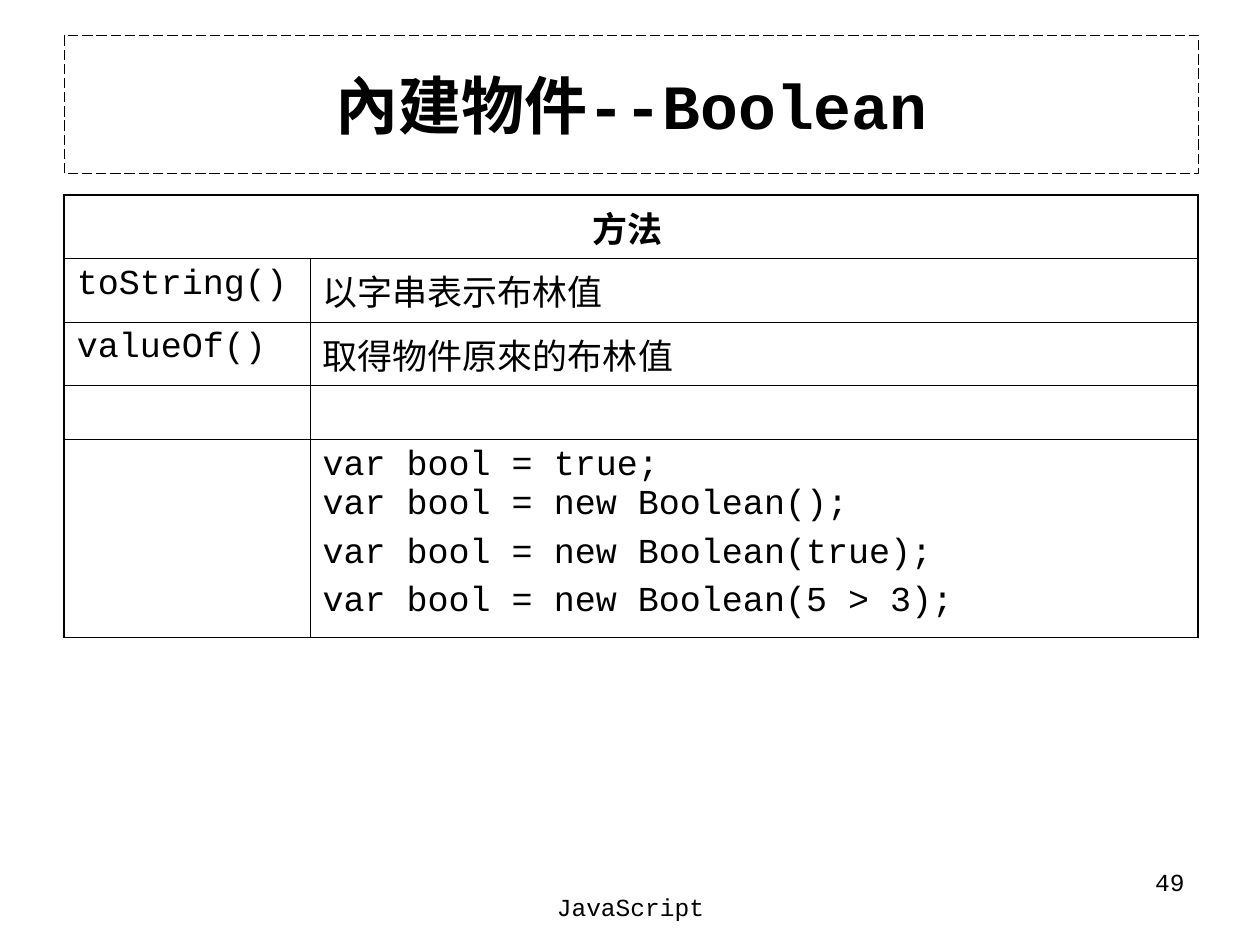
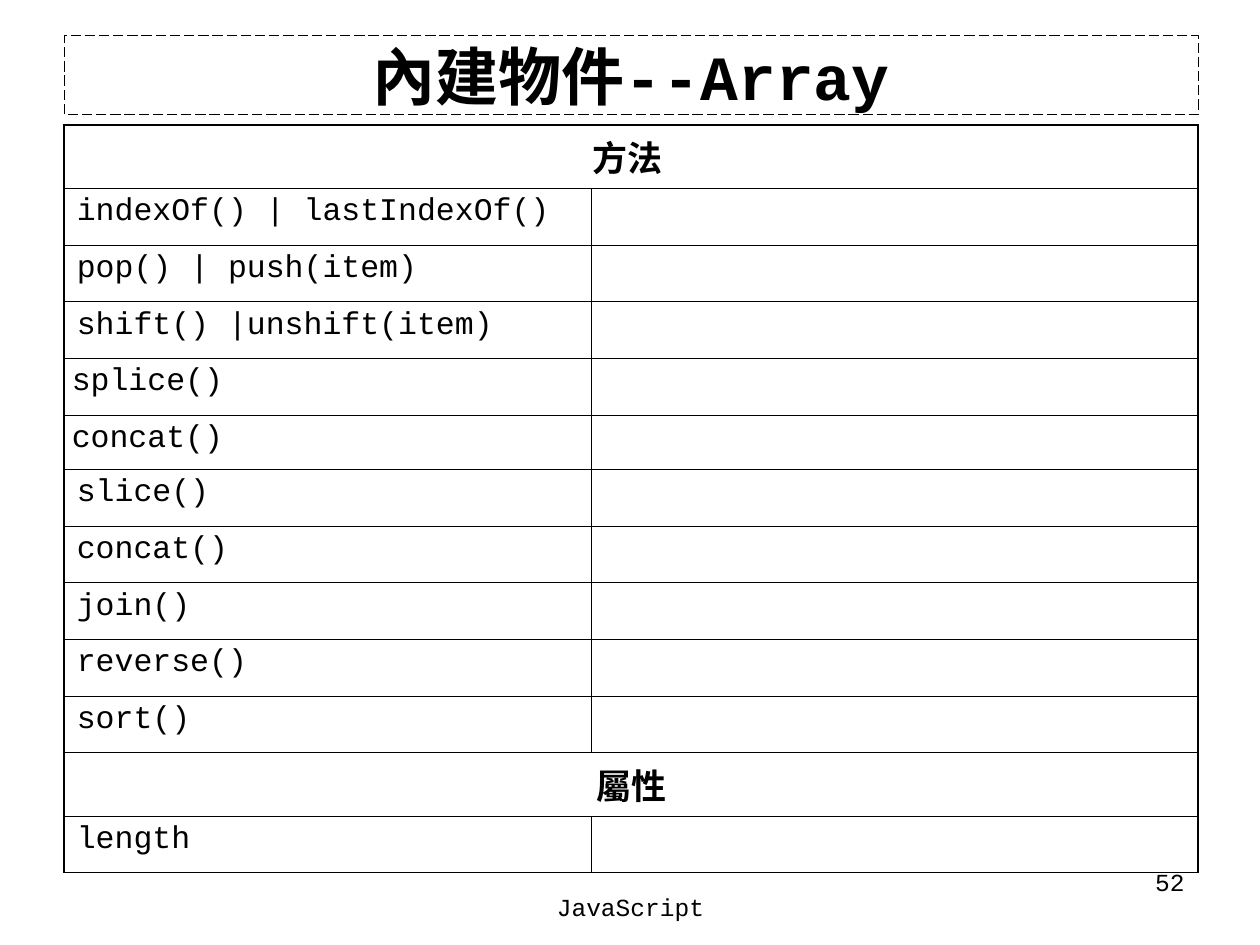
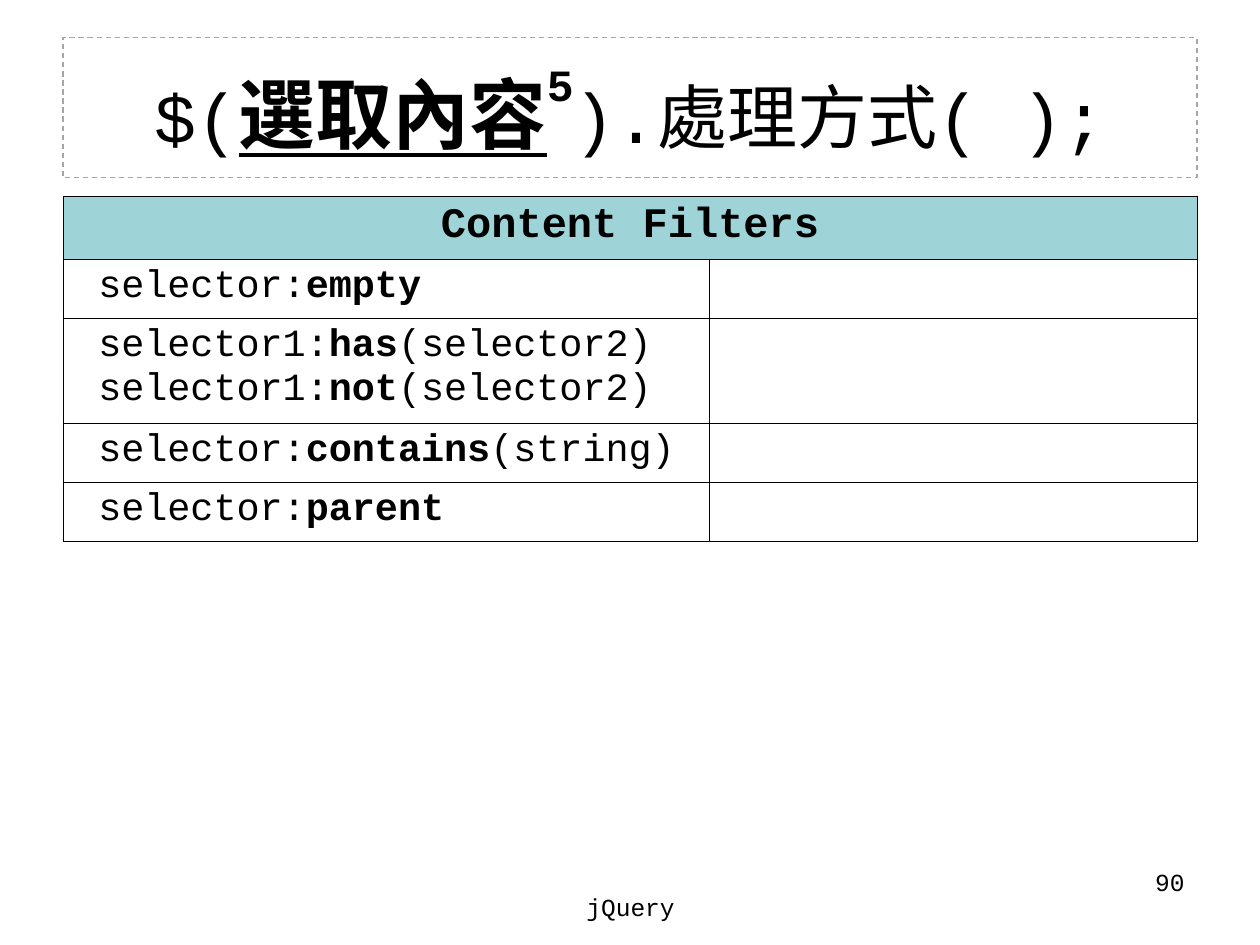
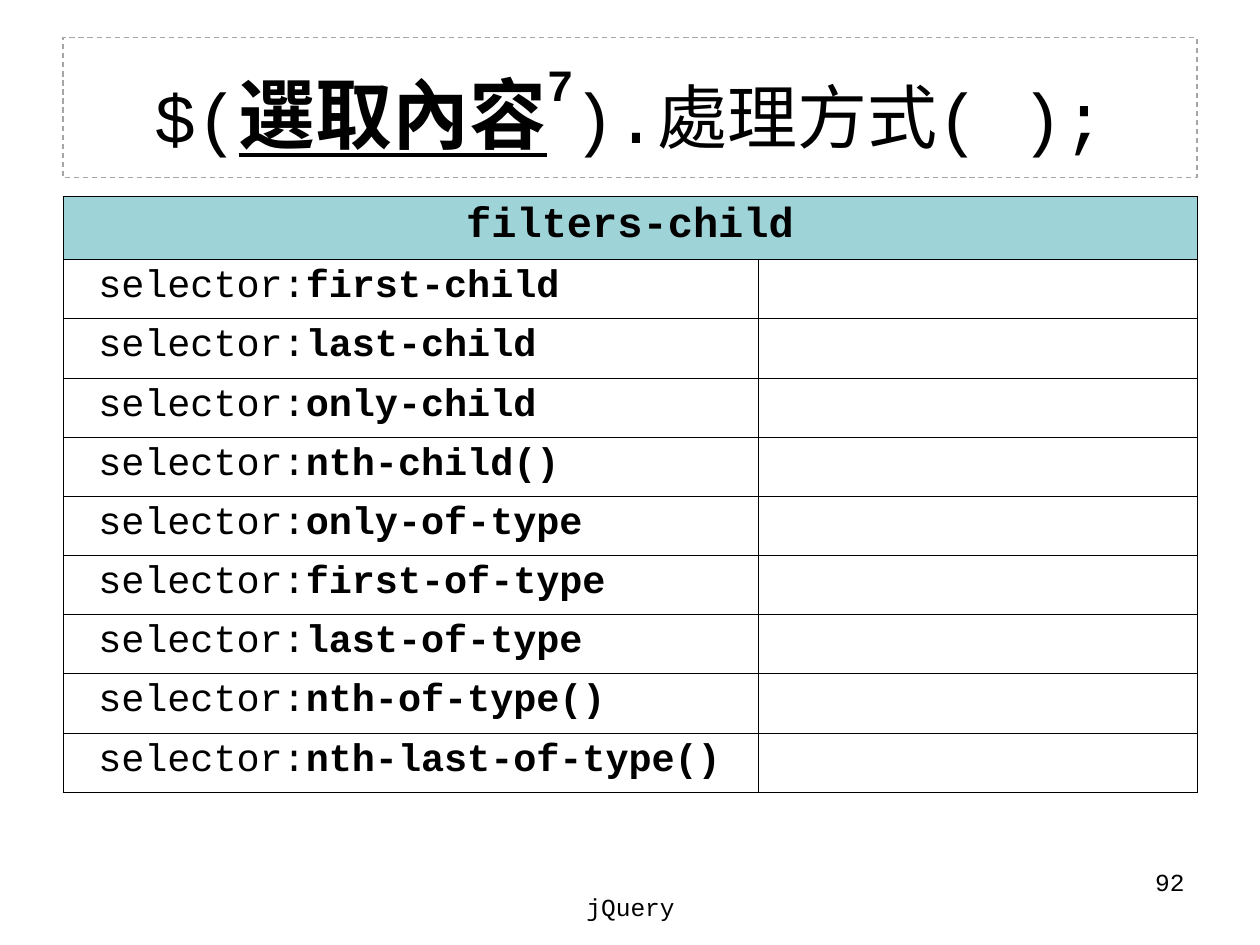
from dataclasses import dataclass

from lxml.etree import SubElement
from pptx import Presentation
from pptx.dml.color import RGBColor
from pptx.enum.dml import MSO_LINE
from pptx.enum.text import MSO_ANCHOR, MSO_AUTO_SIZE, PP_ALIGN
from pptx.oxml.ns import qn
from pptx.util import Inches, Pt

BLACK = RGBColor(0x00, 0x00, 0x00)
GREY = RGBColor(0xA6, 0xA6, 0xA6)
TEAL = RGBColor(0x9E, 0xD3, 0xD7)
FONT = "Courier New"
CONTENT_WIDTH = 9
THIN, THICK = 0.45, 1.08
TITLE_ONLY = 5


@dataclass(frozen=True)
class Piece:
    text: str
    size: float
    bold: bool = False
    underline: bool = False
    baseline: int = 0


@dataclass(frozen=True)
class TitleStyle:
    left: float
    top: float
    height: float
    color: RGBColor
    dash: MSO_LINE


@dataclass(frozen=True)
class TableStyle:
    left: float
    top: float
    heading_size: float
    body_size: float
    outer_border: float
    indent: float = 0.1
    heading_fill: RGBColor | None = None


@dataclass(frozen=True)
class Row:
    label: str = ""
    detail: str = ""
    height: float = 0.45
    heading: bool = False
    inset: float | None = None


@dataclass(frozen=True)
class Page:
    title: list[Piece]
    title_style: TitleStyle
    table_style: TableStyle
    label_width: float
    rows: list[Row]
    topic: str
    number: int


def add_piece(paragraph, piece: Piece) -> None:
    run = paragraph.add_run()
    run.text = piece.text
    font = run.font
    font.name, font.size, font.bold = FONT, Pt(piece.size), piece.bold
    font.color.rgb = BLACK
    if piece.underline:
        font.underline = True
    if piece.baseline:
        run._r.get_or_add_rPr().set("baseline", str(piece.baseline * 1000))


def add_title(slide, pieces: list[Piece], style: TitleStyle) -> None:
    title = slide.shapes.title
    title.left, title.top = Inches(style.left), Inches(style.top)
    title.width, title.height = Inches(CONTENT_WIDTH), Inches(style.height)
    title.line.color.rgb = style.color
    title.line.width = Pt(0.75)
    title.line.dash_style = style.dash
    frame = title.text_frame
    frame.word_wrap = True
    frame.auto_size = MSO_AUTO_SIZE.NONE
    frame.vertical_anchor = MSO_ANCHOR.MIDDLE
    heading = frame.paragraphs[0]
    heading.alignment = PP_ALIGN.CENTER
    for piece in pieces:
        add_piece(heading, piece)


def add_footer(slide, text: str, left: float, top: float, width: float,
               height: float, alignment: PP_ALIGN) -> None:
    frame = slide.shapes.add_textbox(
        Inches(left), Inches(top), Inches(width), Inches(height)).text_frame
    frame.word_wrap = True
    frame.paragraphs[0].alignment = alignment
    add_piece(frame.paragraphs[0], Piece(text, 14))


def set_borders(cell, left: float, right: float, top: float, bottom: float) -> None:
    properties = cell._tc.get_or_add_tcPr()
    for tag, width in (("a:lnL", left), ("a:lnR", right),
                       ("a:lnT", top), ("a:lnB", bottom)):
        line = SubElement(properties, qn(tag), w=str(Pt(width)))
        fill = SubElement(line, qn("a:solidFill"))
        SubElement(fill, qn("a:srgbClr"), val=str(BLACK))


def fill_cell(cell, text: str, size: float, heading: bool) -> None:
    frame = cell.text_frame
    for index, line in enumerate(text.split("\n")):
        paragraph = frame.add_paragraph() if index else frame.paragraphs[0]
        if heading:
            paragraph.alignment = PP_ALIGN.CENTER
        if index and "var" in line:
            paragraph.space_before = Pt(5)
        for part_index, part in enumerate(line.split("*")):
            for break_index, chunk in enumerate(part.split("\v")):
                if break_index:
                    paragraph.add_line_break()
                if chunk:
                    add_piece(paragraph, Piece(chunk, size, heading or part_index % 2 == 1))


def add_grid(slide, page: Page) -> None:
    style = page.table_style
    total_height = sum(row.height for row in page.rows)
    table = slide.shapes.add_table(
        len(page.rows), 2, Inches(style.left), Inches(style.top),
        Inches(CONTENT_WIDTH), Inches(total_height)).table
    table.first_row = table.horz_banding = False
    table.columns[0].width = Inches(page.label_width)
    table.columns[1].width = Inches(CONTENT_WIDTH - page.label_width)
    for row_index, row in enumerate(page.rows):
        table.rows[row_index].height = Inches(row.height)
        label, detail = table.cell(row_index, 0), table.cell(row_index, 1)
        if row.heading:
            label.merge(detail)
        size = style.heading_size if row.heading else style.body_size
        top = THIN if row_index else style.outer_border
        label_right = style.outer_border if row.heading else THIN
        set_borders(label, style.outer_border, label_right, top, THIN)
        set_borders(detail, THIN, style.outer_border, top, THIN)
        for cell in (label, detail):
            if row.heading and style.heading_fill:
                cell.fill.solid()
                cell.fill.fore_color.rgb = style.heading_fill
            else:
                cell.fill.background()
        if not row.heading:
            label.margin_left = Inches(row.inset or style.indent)
            label.margin_right = Inches(row.inset or 0.1)
        fill_cell(label, row.label, size, row.heading)
        if row.detail:
            fill_cell(detail, row.detail, size, False)


def add_page(deck, page: Page) -> None:
    slide = deck.slides.add_slide(deck.slide_layouts[TITLE_ONLY])
    add_title(slide, page.title, page.title_style)
    add_grid(slide, page)
    add_footer(slide, str(page.number), 7.17, 6.83, 2.33, 0.52, PP_ALIGN.RIGHT)
    add_footer(slide, page.topic, 3.42, 7.03, 3.17, 0.5, PP_ALIGN.CENTER)


def object_title(name: str) -> list[Piece]:
    return [Piece(f"內建物件--{name}", 36, bold=True)]


def selector_title(step: int) -> list[Piece]:
    return [
        Piece("$(", 40),
        Piece("選取內容", 44, bold=True, underline=True),
        Piece(str(step), 44, bold=True, baseline=54),
        Piece(").處理方式( );", 40),
    ]


def selector_rows(*filters: str) -> list[Row]:
    return [Row(f"selector:{name}", height=0.47) for name in filters]


BOOLEAN_CODE = (
    "var bool = true;\vvar bool = new Boolean();\n"
    "var bool = new Boolean(true);\n"
    "var bool = new Boolean(5 > 3);"
)
BOOLEAN_ROWS = [
    Row("方法 ", height=0.44, heading=True),
    Row("toString()", "以字串表示布林值", 0.43),
    Row("valueOf()", "取得物件原來的布林值", 0.43),
    Row(height=0.43),
    Row(detail=BOOLEAN_CODE, height=1.57),
]
ARRAY_ROWS = [
    Row("方法 ", heading=True),
    Row("indexOf() | lastIndexOf()"),
    Row("pop() | push(item)"),
    Row("shift() |unshift(item)"),
    Row("splice()", inset=0.06),
    Row("concat()", height=0.43, inset=0.06),
    *[Row(name) for name in ("slice()", "concat()", "join()", "reverse()", "sort()")],
    Row("屬性", heading=True),
    Row("length"),
]
CONTENT_ROWS = [
    Row("Content Filters", height=0.5, heading=True),
    *selector_rows("*empty*"),
    Row("selector1:*has*(selector2)\nselector1:*not*(selector2)", height=0.83),
    *selector_rows("*contains*(string)", "*parent*"),
]
CHILD_ROWS = [
    Row("filters-child", height=0.5, heading=True),
    *selector_rows(
        "*first-child*", "*last-child*", "*only-child*", "*nth-child()*",
        "*only-of-type*", "*first-of-type*", "*last-of-type*",
        "*nth-of-type()*", "*nth-last-of-type()*"),
]

SELECTOR_TITLE = TitleStyle(0.5, 0.3, 1.11, GREY, MSO_LINE.DASH)
SELECTOR_TABLE = TableStyle(0.5, 1.56, 24, 22, THIN, indent=0.28, heading_fill=TEAL)

PAGES = [
    Page(object_title("Boolean"), TitleStyle(0.51, 0.28, 1.1, BLACK, MSO_LINE.LONG_DASH),
         TableStyle(0.51, 1.55, 20, 20, THICK), 1.95, BOOLEAN_ROWS, "JavaScript", 49),
    Page(object_title("Array"), TitleStyle(0.51, 0.28, 0.63, BLACK, MSO_LINE.LONG_DASH),
         TableStyle(0.51, 0.99, 20, 18, THICK), 4.18, ARRAY_ROWS, "JavaScript", 52),
    Page(selector_title(5), SELECTOR_TITLE, SELECTOR_TABLE, 5.13, CONTENT_ROWS, "jQuery", 90),
    Page(selector_title(7), SELECTOR_TITLE, SELECTOR_TABLE, 5.52, CHILD_ROWS, "jQuery", 92),
]


def main() -> None:
    deck = Presentation()
    deck.slide_width, deck.slide_height = Inches(10), Inches(7.5)
    for page in PAGES:
        add_page(deck, page)
    deck.save("out.pptx")


if __name__ == "__main__":
    main()
